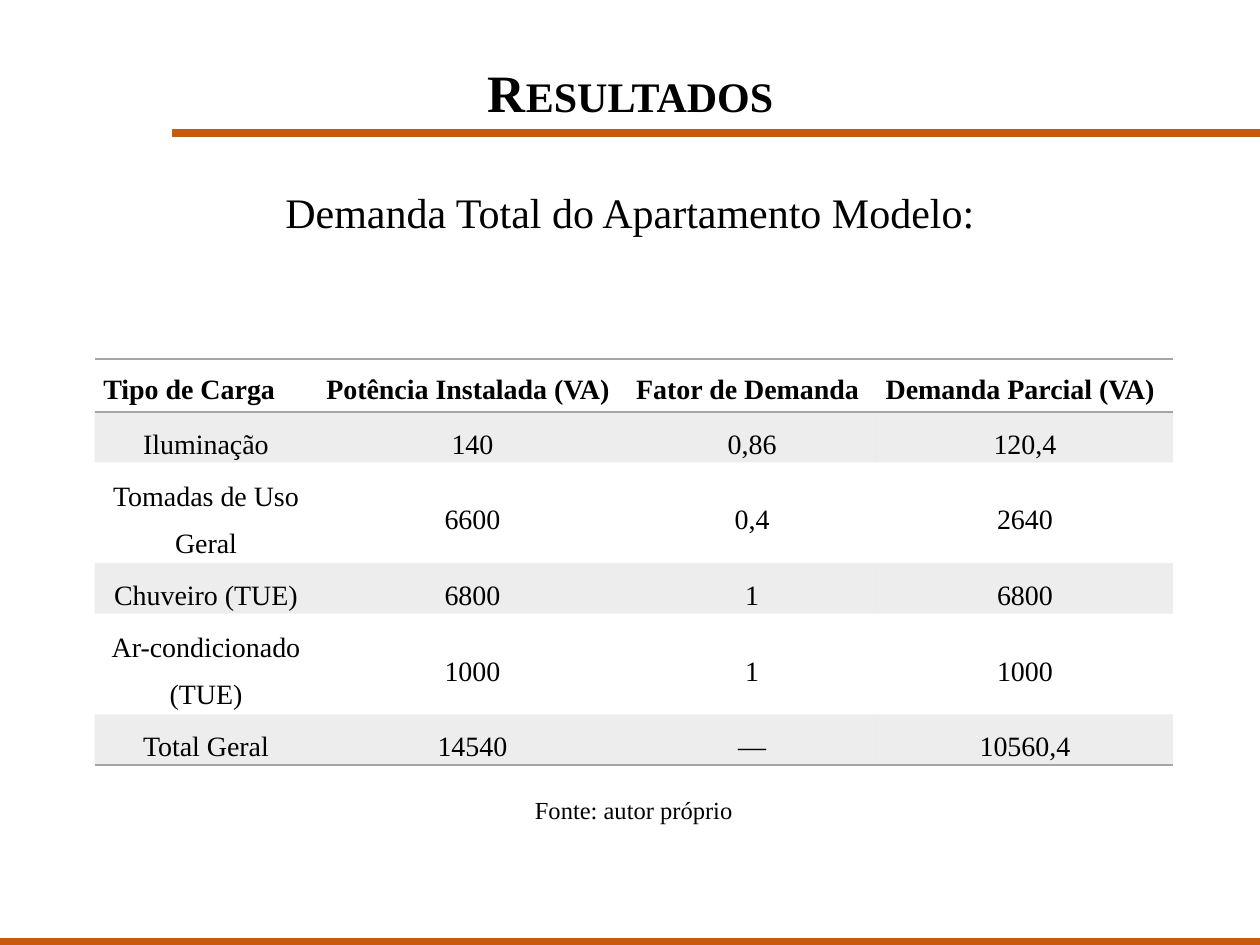
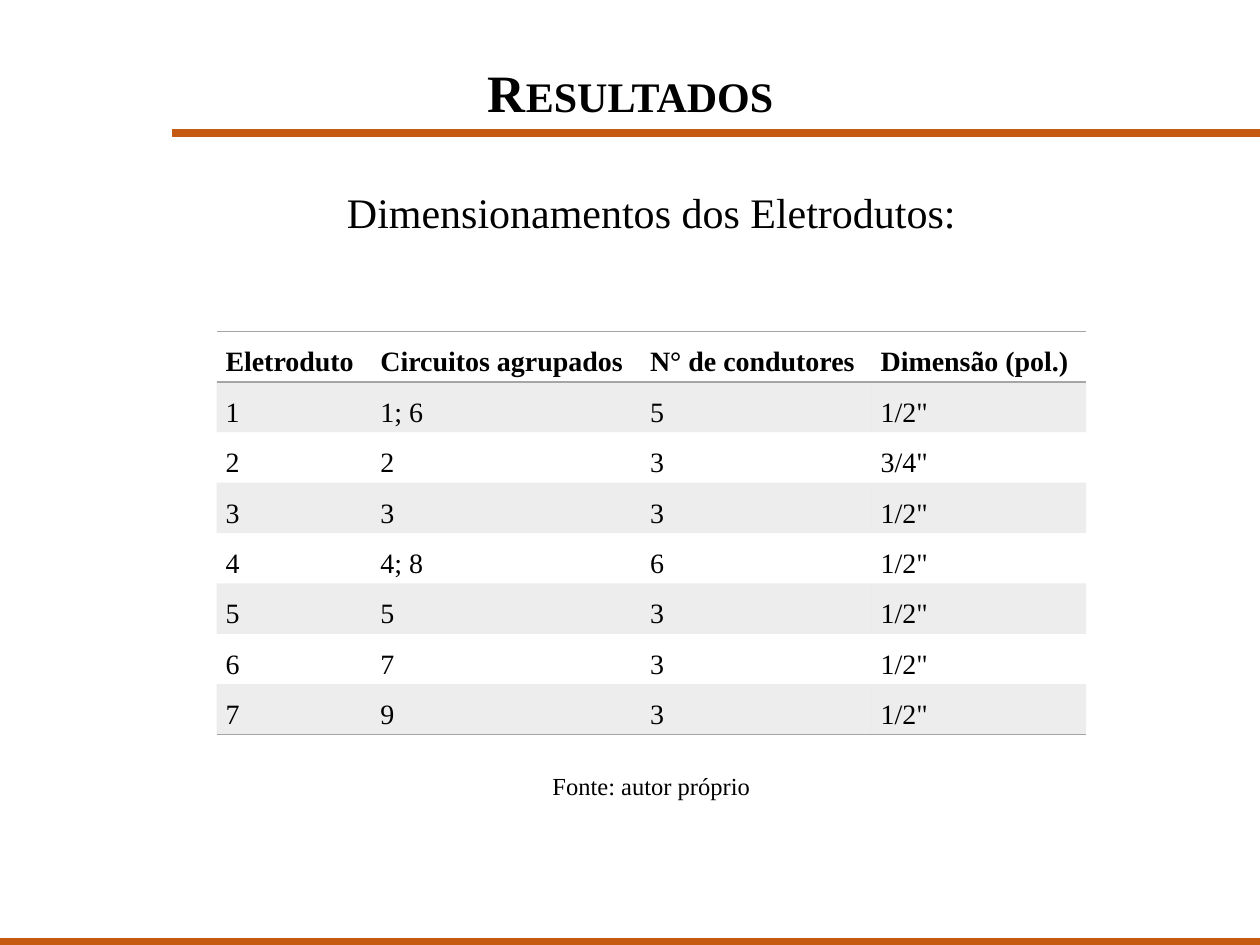
from dataclasses import dataclass
from typing import Optional

import lxml.etree
import pptx
import pptx.dml.color
import pptx.enum.shapes
import pptx.enum.text
import pptx.oxml.ns
import pptx.util
from pptx.util import Inches

COLORS = {"text": "000000", "band": "C55A11", "grid": "A5A5A5"}
FONT_NAME = "Times New Roman"
NO_TABLE_STYLE = "{2D5ABB26-0587-4C30-8999-92F81FD0307C}"
SHADE_OPACITY = 20
LINE_HEIGHT = 0.4
BAND_HEIGHT = 0.05
ALIGN = pptx.enum.text.PP_ALIGN
ANCHOR = pptx.enum.text.MSO_ANCHOR
qn = pptx.oxml.ns.qn


@dataclass
class Box:
    left: float
    top: float
    width: float
    height: float

    def lengths(self) -> tuple:
        return tuple(Inches(value) for value in (self.left, self.top, self.width, self.height))


@dataclass
class ResultTable:
    left: float
    top: float
    column_widths: list[float]
    row_heights: list[float]
    rows: list[list[str]]
    body_align: ALIGN
    body_anchor: ANCHOR


@dataclass
class ResultSlide:
    subtitle: str
    subtitle_box: Box
    source_box: Box
    table: ResultTable


TITLE_BOX = Box(3.76, 0.43, 2.49, 0.61)
BANDS = [
    Box(0, 7.45, 10, BAND_HEIGHT),
    Box(1.37, 1.03, 8.63, BAND_HEIGHT),
]

RESULT_SLIDES = [
    ResultSlide(
        subtitle="Demanda Total do Apartamento Modelo:",
        subtitle_box=Box(0.98, 1.43, 8.04, 0.5),
        source_box=Box(1.04, 6.26, 7.98, 0.34),
        table=ResultTable(
            left=0.75,
            top=2.85,
            column_widths=[1.77, 2.46, 1.98, 2.35],
            row_heights=[0.42] + [LINE_HEIGHT * lines for lines in (1, 2, 1, 2, 1)],
            rows=[
                ["Tipo de Carga", "Potência Instalada (VA)", "Fator de Demanda", "Demanda Parcial (VA)"],
                ["Iluminação", "140", "0,86", "120,4"],
                ["Tomadas de Uso Geral", "6600", "0,4", "2640"],
                ["Chuveiro (TUE)", "6800", "1", "6800"],
                ["Ar-condicionado (TUE)", "1000", "1", "1000"],
                ["Total Geral", "14540", "—", "10560,4"],
            ],
            body_align=ALIGN.CENTER,
            body_anchor=ANCHOR.MIDDLE,
        ),
    ),
    ResultSlide(
        subtitle="Dimensionamentos dos Eletrodutos:",
        subtitle_box=Box(1.15, 1.43, 8.04, 0.5),
        source_box=Box(1.18, 6.07, 7.98, 0.34),
        table=ResultTable(
            left=1.72,
            top=2.63,
            column_widths=[1.23, 2.14, 1.83, 1.7],
            row_heights=[LINE_HEIGHT] * 8,
            rows=[
                ["Eletroduto", "Circuitos agrupados", "N° de condutores", "Dimensão (pol.)"],
                ["1", "1; 6", "5", '1/2"'],
                ["2", "2", "3", '3/4"'],
                ["3", "3", "3", '1/2"'],
                ["4", "4; 8", "6", '1/2"'],
                ["5", "5", "3", '1/2"'],
                ["6", "7", "3", '1/2"'],
                ["7", "9", "3", '1/2"'],
            ],
            body_align=ALIGN.JUSTIFY,
            body_anchor=ANCHOR.TOP,
        ),
    ),
]


def rgb(name: str) -> pptx.dml.color.RGBColor:
    return pptx.dml.color.RGBColor.from_string(COLORS[name])


def write_text(
    text_frame,
    text: str,
    *,
    size: float,
    bold: bool = False,
    small_caps: bool = False,
    align: ALIGN = ALIGN.CENTER,
    line_spacing: Optional[float] = None,
    space_after: Optional[float] = None,
) -> None:
    paragraph = text_frame.paragraphs[0]
    paragraph.alignment = align
    if line_spacing is not None:
        paragraph.line_spacing = line_spacing
    if space_after is not None:
        paragraph.space_after = pptx.util.Pt(space_after)
    run = paragraph.add_run()
    run.text = text
    run.font.name = FONT_NAME
    run.font.size = pptx.util.Pt(size)
    run.font.bold = bold
    run.font.color.rgb = rgb("text")
    if small_caps:
        run.font._element.set("cap", "small")


def fit_frame(text_frame, wrap: bool) -> None:
    """Let the shape grow with its text."""
    text_frame.word_wrap = wrap
    text_frame.auto_size = pptx.enum.text.MSO_AUTO_SIZE.SHAPE_TO_FIT_TEXT


def add_title(slide, text: str) -> None:
    title = slide.shapes.title
    title.left, title.top, title.width, title.height = TITLE_BOX.lengths()
    fit_frame(title.text_frame, wrap=False)
    title.text_frame.vertical_anchor = ANCHOR.TOP
    write_text(title.text_frame, text, size=30, bold=True, small_caps=True)


def add_band(slide, box: Box) -> None:
    band = slide.shapes.add_shape(pptx.enum.shapes.MSO_SHAPE.RECTANGLE, *box.lengths())
    band.shadow.inherit = False
    band.fill.solid()
    band.fill.fore_color.rgb = rgb("band")
    band.line.color.rgb = rgb("band")
    band.line.width = pptx.util.Pt(1)


def add_centered_text(slide, box: Box, text: str, size: float) -> None:
    text_box = slide.shapes.add_textbox(*box.lengths())
    fit_frame(text_box.text_frame, wrap=True)
    write_text(text_box.text_frame, text, size=size)


def add_borders(cell, tags: list[str]) -> None:
    """Draw thin rules on the given sides; the rules must precede the cell's fill."""
    properties = cell._tc.get_or_add_tcPr()
    for position, tag in enumerate(tags):
        line = lxml.etree.Element(qn(tag), w=str(pptx.util.Pt(1)))
        fill = lxml.etree.SubElement(line, qn("a:solidFill"))
        lxml.etree.SubElement(fill, qn("a:srgbClr"), val=COLORS["grid"])
        properties.insert(position, line)


def shade(cell) -> None:
    cell.fill.solid()
    cell.fill.fore_color.rgb = rgb("grid")
    color = cell._tc.tcPr.find(".//" + qn("a:srgbClr"))
    lxml.etree.SubElement(color, qn("a:alpha"), val=str(SHADE_OPACITY * 1000))


def add_result_table(slide, content: ResultTable) -> None:
    box = Box(content.left, content.top, sum(content.column_widths), sum(content.row_heights))
    frame = slide.shapes.add_table(len(content.rows), len(content.column_widths), *box.lengths())
    table = frame.table
    table.first_row = table.horz_banding = False
    table._tbl.tblPr.find(qn("a:tableStyleId")).text = NO_TABLE_STYLE
    for column, width in zip(table.columns, content.column_widths):
        column.width = Inches(width)
    for row, height in zip(table.rows, content.row_heights):
        row.height = Inches(height)

    last_row = len(content.rows) - 1
    for row_index, texts in enumerate(content.rows):
        is_header = row_index == 0
        for column_index, text in enumerate(texts):
            cell = table.cell(row_index, column_index)
            cell.margin_left = cell.margin_right = Inches(0.07)
            cell.margin_top = cell.margin_bottom = 0
            cell.vertical_anchor = ANCHOR.TOP if is_header else content.body_anchor
            write_text(
                cell.text_frame,
                text,
                size=16,
                bold=is_header,
                align=ALIGN.JUSTIFY if is_header else content.body_align,
                line_spacing=1.5,
                space_after=6,
            )
            if row_index % 2:
                shade(cell)
            else:
                cell.fill.background()
            if is_header:
                add_borders(cell, ["a:lnT", "a:lnB"])
            elif row_index == last_row:
                add_borders(cell, ["a:lnB"])


def add_result_slide(presentation, content: ResultSlide) -> None:
    title_only_layout = presentation.slide_layouts[5]
    slide = presentation.slides.add_slide(title_only_layout)
    add_title(slide, "Resultados")
    for band in BANDS:
        add_band(slide, band)
    add_centered_text(slide, content.subtitle_box, content.subtitle, size=24)
    add_centered_text(slide, content.source_box, "Fonte: autor próprio", size=14)
    add_result_table(slide, content.table)


def main() -> None:
    presentation = pptx.Presentation()
    presentation.slide_width = Inches(10)
    presentation.slide_height = Inches(7.5)
    for content in RESULT_SLIDES:
        add_result_slide(presentation, content)
    presentation.save("out.pptx")


if __name__ == "__main__":
    main()
